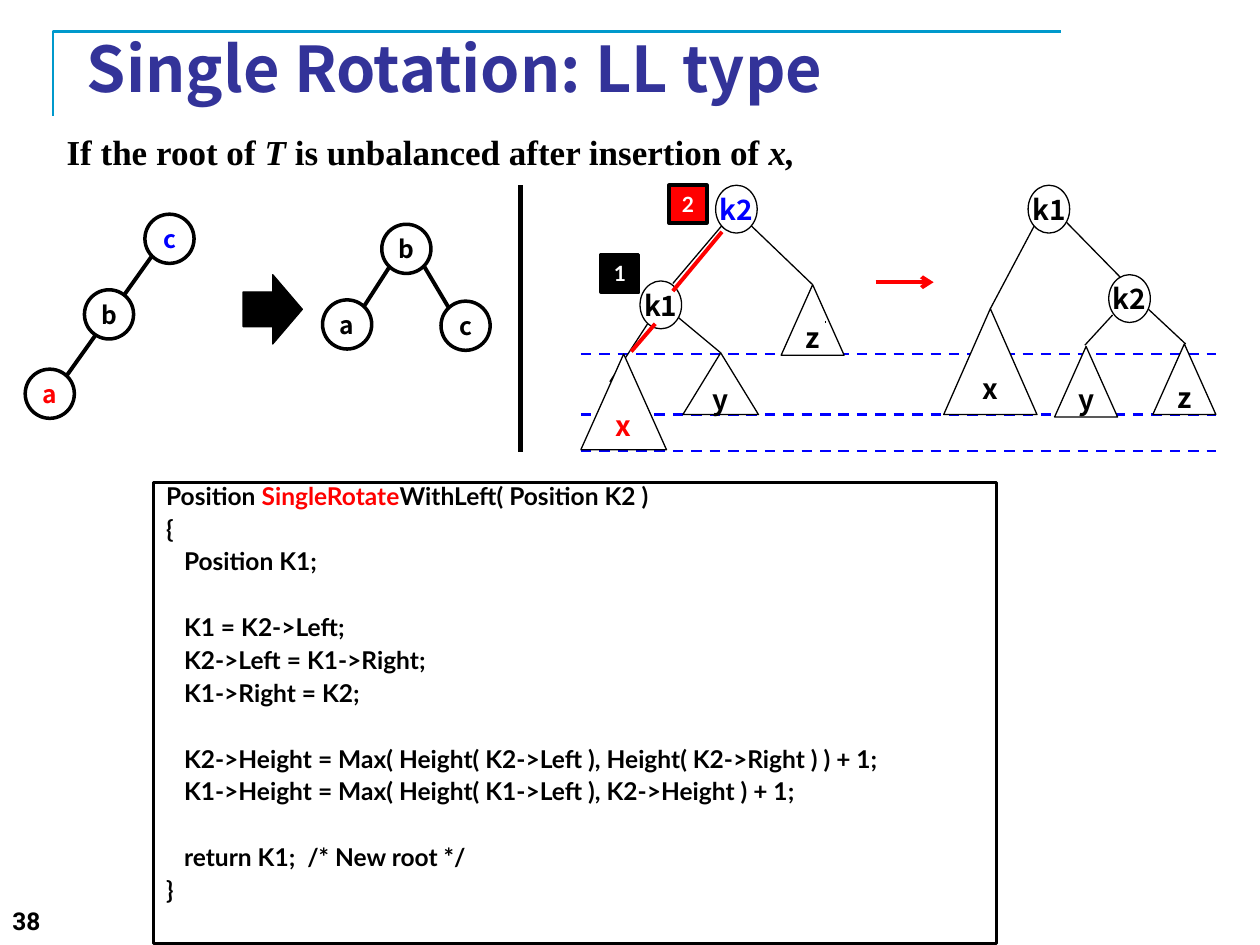
from lxml.etree import SubElement
from pptx import Presentation
from pptx.dml.color import RGBColor
from pptx.enum.dml import MSO_LINE
from pptx.enum.shapes import MSO_CONNECTOR, MSO_SHAPE
from pptx.enum.text import MSO_ANCHOR, PP_ALIGN
from pptx.oxml.ns import qn
from pptx.util import Inches, Pt

COLORS = {"black": "000000", "white": "FFFFFF", "red": "FF0000", "blue": "0000FF",
          "title": "333399", "corner": "0099CC"}
FORMATS = {
    "title": {"size": Pt(36), "name": "Noto Sans CJK KR", "bold": True},
    "statement": {"size": Pt(20), "name": "Times New Roman", "bold": True},
    "number": {"size": Pt(14), "name": "Roboto", "bold": True},
    "tree": {"size": Pt(16), "name": "Noto Sans CJK KR", "bold": True},
    "example": {"size": Pt(14), "name": "Noto Sans CJK KR", "bold": True},
    "step": {"size": Pt(12), "name": "Lato", "bold": True},
    "code": {"size": Pt(14), "name": "Lato", "bold": True},
}
CODE = [
    [("Position ", "black"), ("SingleRotate", "red"), ("WithLeft( Position K2 )", "black")],
    "{",
    "   Position K1;",
    "",
    "   K1 = K2->Left;",
    "   K2->Left = K1->Right;",
    "   K1->Right = K2;",
    "",
    "   K2->Height = Max( Height( K2->Left ), Height( K2->Right ) ) + 1;",
    "   K1->Height = Max( Height( K1->Left ), K2->Height ) + 1;",
    "",
    "   return K1;  /* New root */",
    "}",
]
LINE_GAP, BLANK_LINE = 7, 18.8
LEVELS = [3.58, 3.29, 2.81]
EXAMPLE_EDGES = [(1.2, 2.04, 0.53, 2.98), (3.09, 2.12, 2.89, 2.43), (3.37, 2.12, 3.56, 2.44)]
EXAMPLE_NODES = [("c", 1.15, 1.7, "blue"), ("b", 0.67, 2.3, "black"), ("a", 0.2, 2.93, "red"),
                 ("b", 3.03, 1.78, "black"), ("a", 2.56, 2.38, "black"), ("c", 3.5, 2.39, "black")]
TREE_EDGES = [(5.14, 2.57, 4.84, 3.03), (5.73, 1.79, 5.34, 2.25), (8.46, 1.76, 8.93, 2.24),
              (8.83, 2.5, 8.61, 2.74), (9.11, 2.45, 9.41, 2.73), (6.45, 2.26, 5.96, 1.79),
              (5.72, 2.8, 5.36, 2.5), (8.21, 1.79, 7.86, 2.45)]
SUBTREES = [("x", 4.61, 2.81, 0.68, 0.76, "red"), ("y", 5.42, 2.8, 0.6, 0.49, "black"),
            ("z", 6.2, 2.26, 0.5, 0.56, "black"), ("x", 7.49, 2.45, 0.74, 0.84, "black"),
            ("y", 8.37, 2.75, 0.5, 0.56, "black"), ("z", 9.15, 2.73, 0.5, 0.56, "black")]
TREE_NODES = [("k2", 5.68, 1.47, "blue"), ("k1", 5.08, 2.23, "black"),
              ("k2", 8.8, 2.18, "black"), ("k1", 8.16, 1.47, "black")]
INSERTION_PATH = [(5.73, 1.84, 5.34, 2.31), (5.2, 2.57, 5.01, 2.79)]
STEPS = [("1", 4.77, 2.02, "black"), ("2", 5.31, 1.47, "red")]


def rgb(name):
    """Return the named colour."""
    return RGBColor.from_string(COLORS[name])


def add_run(paragraph, text, style, color="black", italic=False):
    """Append a run in a named text style."""
    run = paragraph.add_run()
    run.text = text
    for attribute, value in {**FORMATS[style], "italic": italic}.items():
        setattr(run.font, attribute, value)
    run.font.color.rgb = rgb(color)


def add_line(slide, ends, color="black", width=0.75):
    """Draw a straight line between two points in inches."""
    line = slide.shapes.add_connector(MSO_CONNECTOR.STRAIGHT, *map(Inches, ends))
    line.line.color.rgb = rgb(color)
    line.line.width = Pt(width)
    SubElement(line._element.spPr, qn("a:effectLst"))
    return line


def add_figure(slide, kind, box, fill="white", width=0.75):
    """Draw a filled preset shape with a black outline."""
    shape = slide.shapes.add_shape(kind, *map(Inches, box))
    shape.shadow.inherit = False
    shape.fill.solid()
    shape.fill.fore_color.rgb = rgb(fill)
    shape.line.color.rgb = rgb("black")
    shape.line.width = Pt(width)
    return shape


def add_label(shape, text, style, color, wrap=False):
    """Centre a label inside a shape."""
    frame = shape.text_frame
    settings = {"word_wrap": wrap, "vertical_anchor": MSO_ANCHOR.MIDDLE, "margin_left": 0,
                "margin_right": 0, "margin_top": 0, "margin_bottom": 0}
    for attribute, value in settings.items():
        setattr(frame, attribute, value)
    frame.paragraphs[0].alignment = PP_ALIGN.CENTER
    add_run(frame.paragraphs[0], text, style, color)


def add_text(slide, box, style, runs):
    """Add a one-paragraph text box from text and italic pairs."""
    frame = slide.shapes.add_textbox(*map(Inches, box)).text_frame
    frame.word_wrap = True
    for text, italic in runs:
        add_run(frame.paragraphs[0], text, style, italic=italic)


def add_heading(slide):
    """Draw the corner rule and fill the title."""
    builder = slide.shapes.build_freeform(Inches(0.42), Inches(0.92))
    builder.add_line_segments([(Inches(0.42), Inches(0.25)), (Inches(8.42), Inches(0.25))], close=False)
    corner = builder.convert_to_shape()
    corner.shadow.inherit = False
    corner.fill.background()
    corner.line.color.rgb = rgb("corner")
    corner.line.width = Pt(1.5)
    title = slide.shapes.title
    place = {"left": 0.59, "top": 0.3, "width": 8.5, "height": 0.47}
    for attribute, value in place.items():
        setattr(title, attribute, Inches(value))
    title.text_frame.vertical_anchor = MSO_ANCHOR.MIDDLE
    title.text_frame.paragraphs[0].alignment = PP_ALIGN.LEFT
    add_run(title.text_frame.paragraphs[0], "Single Rotation: LL type", "title", "title")


def add_example(slide):
    """Draw the three-node rotation example."""
    for ends in EXAMPLE_EDGES:
        add_line(slide, ends, width=2.25)
    for text, left, top, color in EXAMPLE_NODES:
        node = add_figure(slide, MSO_SHAPE.OVAL, (left, top, 0.39, 0.39), width=2)
        add_label(node, text, "example", color, wrap=True)
    add_figure(slide, MSO_SHAPE.RIGHT_ARROW, (1.93, 2.18, 0.47, 0.55), "black")
    add_line(slide, (4.13, 1.47, 4.13, 3.59), width=3)


def add_trees(slide):
    """Draw the general trees before and after rotation."""
    for level in LEVELS:
        add_line(slide, (4.61, level, 9.65, level), "blue", 1.5).line.dash_style = MSO_LINE.DASH
    for ends in TREE_EDGES:
        add_line(slide, ends)
    for text, *box, color in SUBTREES:
        add_label(add_figure(slide, MSO_SHAPE.ISOSCELES_TRIANGLE, box), text, "tree", color)
    for text, left, top, color in TREE_NODES:
        node = add_figure(slide, MSO_SHAPE.OVAL, (left, top, 0.33, 0.38))
        add_label(node, text, "tree", color)
    add_line(slide, (6.55, 2.55, 6.55, 2.56))
    for ends in INSERTION_PATH:
        add_line(slide, ends, "red", 2.25)
    arrow = add_line(slide, (6.95, 2.24, 7.41, 2.24), "red", 2.25)
    SubElement(arrow.line._get_or_add_ln(), qn("a:tailEnd"), type="arrow")
    for text, left, top, fill in STEPS:
        step = add_figure(slide, MSO_SHAPE.RECTANGLE, (left, top, 0.3, 0.3), fill, 2)
        add_label(step, text, "step", "white")


def add_code(slide):
    """Add the framed code listing, spacing out its sections."""
    frame = add_figure(slide, MSO_SHAPE.RECTANGLE, (1.22, 3.83, 6.69, 3.66), width=2).text_frame
    frame.word_wrap = True
    frame.vertical_anchor = MSO_ANCHOR.TOP
    for index, line in enumerate(CODE):
        if not line:
            continue
        paragraph = frame.add_paragraph() if index else frame.paragraphs[0]
        gap = LINE_GAP + (0 if CODE[index - 1] else BLANK_LINE)
        settings = {"alignment": PP_ALIGN.LEFT, "line_spacing": 0.7,
                    "space_before": Pt(gap if index else 0)}
        for attribute, value in settings.items():
            setattr(paragraph, attribute, value)
        for text, color in [(line, "black")] if isinstance(line, str) else line:
            add_run(paragraph, text, "code", color)


def main():
    """Build and save the slide."""
    presentation = Presentation()
    presentation.slide_width, presentation.slide_height = Inches(10), Inches(7.5)
    slide = presentation.slides.add_slide(presentation.slide_layouts[5])
    add_heading(slide)
    add_text(slide, (0, 7.14, 3.12, 0.36), "number", [("38", False)])
    add_text(slide, (0.43, 0.99, 7.78, 0.44), "statement",
             [("If the root of ", False), ("T ", True),
              ("is unbalanced after insertion of ", False), ("x,", True)])
    add_trees(slide)
    add_code(slide)
    add_example(slide)
    presentation.save("out.pptx")


if __name__ == "__main__":
    main()
